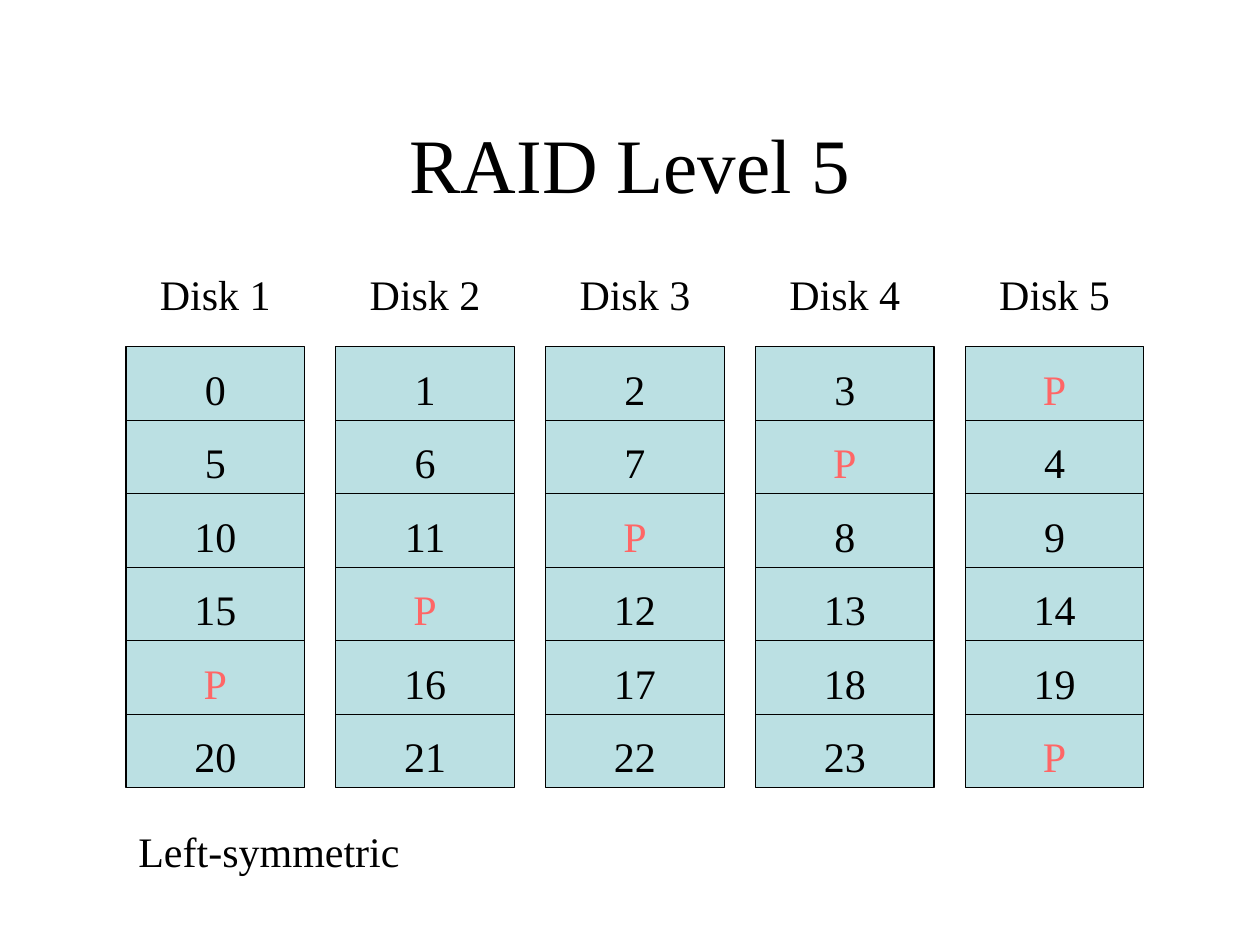
from lxml.etree import SubElement
from pptx import Presentation
from pptx.dml.color import RGBColor
from pptx.enum.shapes import MSO_CONNECTOR, MSO_SHAPE
from pptx.enum.text import MSO_ANCHOR, MSO_AUTO_SIZE, PP_ALIGN
from pptx.oxml.ns import qn
from pptx.util import Cm, Pt

# Content: each disk with its blocks from top to bottom, P is parity
TITLE = "RAID Level 5"
DISKS = {
    "Disk 1": ["0", "5", "10", "15", "P", "20"],
    "Disk 2": ["1", "6", "11", "P", "16", "21"],
    "Disk 3": ["2", "7", "P", "12", "17", "22"],
    "Disk 4": ["3", "P", "8", "13", "18", "23"],
    "Disk 5": ["P", "4", "9", "14", "19", "P"],
}
CAPTION = "Left-symmetric"

COLORS = {"ink": "000000", "disk": "BBE0E3", "parity": "FF6666"}
FONT = "Times New Roman"

# Grid in centimetres
LEFT, TOP = 2.54, 6.99
DISK_WIDTH, DISK_HEIGHT, DISK_PITCH = 3.6, 8.89, 4.23
ROW_HEIGHT = DISK_HEIGHT / 6
BLOCK_WIDTH, BLOCK_DROP = 1.48, 0.21
TEXT_HEIGHT = 1.27
HEADER_TOP, CAPTION_TOP, CAPTION_WIDTH = 5.29, 16.51, 7.2


def color(name):
    return RGBColor.from_string(COLORS[name])


def style(paragraph, size, ink="ink", align=PP_ALIGN.CENTER):
    paragraph.alignment = align
    paragraph.font.name = FONT
    paragraph.font.size = Pt(size)
    paragraph.font.color.rgb = color(ink)


def add_label(page, text, left, top, width, ink="ink", align=PP_ALIGN.CENTER):
    box = page.shapes.add_textbox(Cm(left), Cm(top), Cm(width), Cm(TEXT_HEIGHT))
    frame = box.text_frame
    frame.word_wrap = True
    frame.auto_size = MSO_AUTO_SIZE.SHAPE_TO_FIT_TEXT
    paragraph = frame.paragraphs[0]
    paragraph.text = text
    paragraph.space_before = Pt(15)
    style(paragraph, 24, ink, align)


def set_line(shape):
    shape.line.color.rgb = color("ink")
    shape.line.width = Pt(0.75)


def add_disk(page, name, blocks, left):
    body = page.shapes.add_shape(
        MSO_SHAPE.RECTANGLE, Cm(left), Cm(TOP), Cm(DISK_WIDTH), Cm(DISK_HEIGHT))
    body.shadow.inherit = False
    body.fill.solid()
    body.fill.fore_color.rgb = color("disk")
    set_line(body)

    # Dividers between the blocks
    for row in range(1, len(blocks)):
        y = Cm(TOP + row * ROW_HEIGHT)
        divider = page.shapes.add_connector(
            MSO_CONNECTOR.STRAIGHT, Cm(left), y, Cm(left + DISK_WIDTH), y)
        set_line(divider)
        SubElement(divider._element.spPr, qn("a:effectLst"))

    # Block numbers and parity marks
    block_left = left + (DISK_WIDTH - BLOCK_WIDTH) / 2
    for row, block in enumerate(blocks):
        add_label(page, block, block_left, TOP + row * ROW_HEIGHT + BLOCK_DROP,
                  BLOCK_WIDTH, "parity" if block == "P" else "ink")

    add_label(page, name, left, HEADER_TOP, DISK_WIDTH)


def main():
    deck = Presentation()
    deck.slide_width, deck.slide_height = Cm(25.4), Cm(19.05)
    page = deck.slides.add_slide(deck.slide_layouts[5])

    # Title
    title = page.shapes.title
    title.left, title.top, title.width, title.height = Cm(1.9), Cm(1.69), Cm(21.6), Cm(3.18)
    title.text_frame.text = TITLE
    title.text_frame.vertical_anchor = MSO_ANCHOR.MIDDLE
    style(title.text_frame.paragraphs[0], 44)

    # Disks
    for column, (name, blocks) in enumerate(DISKS.items()):
        add_disk(page, name, blocks, LEFT + column * DISK_PITCH)

    # Caption
    add_label(page, CAPTION, LEFT, CAPTION_TOP, CAPTION_WIDTH, align=PP_ALIGN.LEFT)

    deck.save("out.pptx")


if __name__ == "__main__":
    main()
